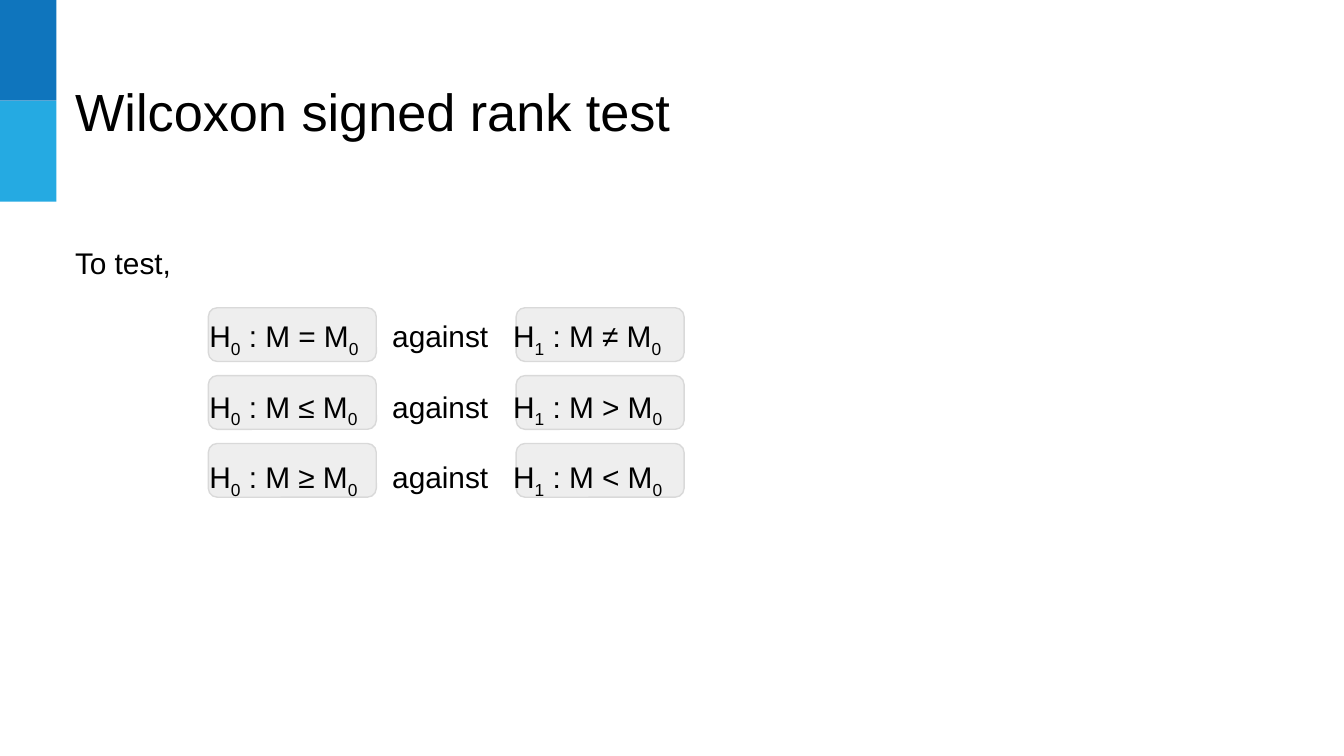
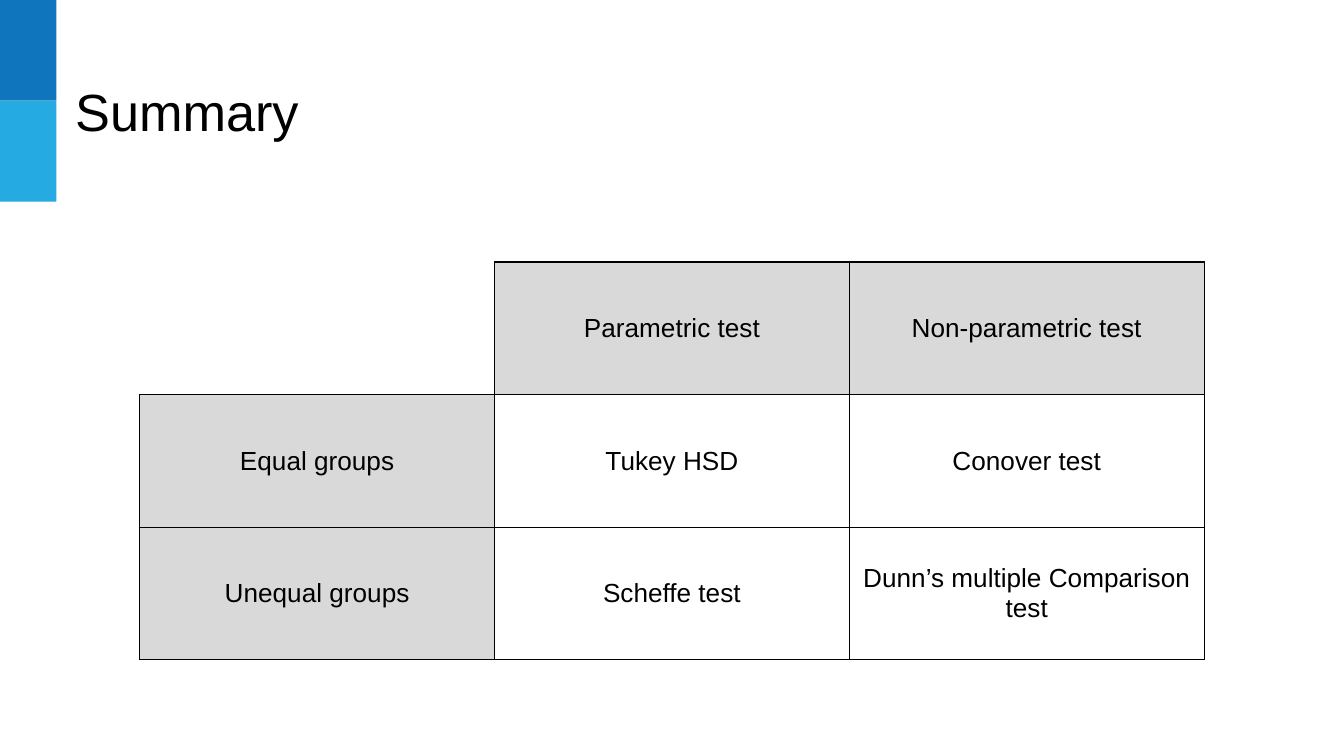
"""Build two slides on rank tests and group comparisons."""
from dataclasses import dataclass

from lxml.etree import SubElement
from pptx import Presentation
from pptx.dml.color import RGBColor as Rgb
from pptx.enum.shapes import MSO_SHAPE as Preset
from pptx.enum.text import MSO_ANCHOR as Anchor, MSO_AUTO_SIZE as AutoSize, PP_ALIGN as Align
from pptx.oxml.ns import qn
from pptx.util import Inches, Pt


@dataclass(frozen=True)
class Theme:
    font: str = "Arial"
    ink: str = "000000"
    bands: tuple = ("0F75BD", "25AAE2")
    box: str = "EEEEEE"
    edge: str = "D9D9D9"
    header: str = "D9D9D9"
    title_size: int = 28
    body_size: int = 16
    table_size: int = 14
    line: float = 0.75
    inset: float = 0.1


class Deck:
    def __init__(self, theme):
        self.theme = theme
        self.prs = Presentation()
        self.prs.slide_width = Inches(10)
        self.prs.slide_height = Inches(10) * 9 // 16
        self.slide = None
        inset = Inches(theme.inset)
        self.insets = {f"margin_{side}": inset for side in ("left", "right", "top", "bottom")}

    def apply(self, target, **formats):
        for name, value in formats.items():
            setattr(target, name, value)

    def style(self, font, size):
        self.apply(font, name=self.theme.font, size=Pt(size))
        font.color.rgb = Rgb.from_string(self.theme.ink)

    def frame(self, frame):
        self.apply(frame, word_wrap=True, auto_size=AutoSize.NONE,
                   vertical_anchor=Anchor.TOP, **self.insets)

    def new_slide(self, title):
        self.slide = self.prs.slides.add_slide(self.prs.slide_layouts[5])
        for row, colour in enumerate(self.theme.bands):
            self.box(Preset.RECTANGLE, (0, row * 0.75, 0.42, 0.75), colour)
        heading = self.slide.shapes.title
        self.apply(heading, left=Inches(0.46), top=Inches(0.49),
                   width=Inches(7.37), height=Inches(0.63))
        self.frame(heading.text_frame)
        heading.text_frame.text = title
        paragraph = heading.text_frame.paragraphs[0]
        paragraph.alignment = Align.LEFT
        self.style(paragraph.runs[0].font, self.theme.title_size)

    def box(self, preset, place, fill, edge=None):
        shape = self.slide.shapes.add_shape(preset, *map(Inches, place))
        shape.shadow.inherit = False
        shape.fill.solid()
        shape.fill.fore_color.rgb = Rgb.from_string(fill)
        if edge:
            shape.line.color.rgb = Rgb.from_string(edge)
            shape.line.width = Pt(self.theme.line)
        else:
            shape.line.fill.background()

    def body(self, place, paragraphs, tabs):
        frame = self.slide.shapes.add_textbox(*map(Inches, place)).text_frame
        self.frame(frame)
        for index, (space, parts) in enumerate(paragraphs):
            paragraph = frame.add_paragraph() if index else frame.paragraphs[0]
            if index:
                paragraph.space_before = Pt(space)
                stops = SubElement(paragraph._p.get_or_add_pPr(), qn("a:tabLst"))
                for stop in tabs:
                    SubElement(stops, qn("a:tab"), pos=str(Inches(stop)), algn="l")
            for text, is_subscript in parts:
                run = paragraph.add_run()
                run.text = text
                self.style(run.font, self.theme.body_size)
                if is_subscript:
                    run.font._element.set("baseline", "-25000")

    def border(self, cell, hidden_sides):
        properties = cell._tc.get_or_add_tcPr()
        for side in "LRTB":
            line = SubElement(properties, qn(f"a:ln{side}"), w=str(Pt(self.theme.line)))
            if side in hidden_sides:
                SubElement(line, qn("a:noFill"))
            else:
                fill = SubElement(line, qn("a:solidFill"))
                SubElement(fill, qn("a:srgbClr"), val=self.theme.ink)

    def table(self, place, rows):
        shape = self.slide.shapes.add_table(len(rows), len(rows[0]), *map(Inches, place))
        grid = shape.table
        self.apply(grid, first_row=False, horz_banding=False)
        for r, texts in enumerate(rows):
            for c, text in enumerate(texts):
                cell = grid.cell(r, c)
                self.border(cell, "" if r or c else "LT")
                if text and 0 in (r, c):
                    cell.fill.solid()
                    cell.fill.fore_color.rgb = Rgb.from_string(self.theme.header)
                else:
                    cell.fill.background()
                self.apply(cell, vertical_anchor=Anchor.MIDDLE, **self.insets)
                if text:
                    cell.text = text
                    paragraph = cell.text_frame.paragraphs[0]
                    paragraph.alignment = Align.CENTER
                    self.style(paragraph.runs[0].font, self.theme.table_size)


def hypotheses(null_sign, alternative_sign):
    return [("\tH", False), ("0", True), (f" : M {null_sign} M", False), ("0", True),
            ("\tagainst\tH", False), ("1", True),
            (f" : M {alternative_sign} M", False), ("0", True)]


def main():
    theme = Theme()
    deck = Deck(theme)

    deck.new_slide("Wilcoxon signed rank test")
    sign_pairs = [("=", "≠"), ("≤", ">"), ("≥", "<")]
    for row in range(len(sign_pairs)):
        for left in (1.55, 3.84):
            deck.box(Preset.ROUNDED_RECTANGLE, (left, 2.29 + row * 0.505, 1.25, 0.4),
                     theme.box, theme.edge)
    paragraphs = [(0, [("To test,", False)])]
    for space, signs in zip((20, 16, 16), sign_pairs):
        paragraphs.append((space, hypotheses(*signs)))
    deck.body((0.46, 1.72, 8.02, 3.22), paragraphs, tabs=(1, 2.36, 3.26))

    deck.new_slide("Summary")
    comparison_tests = [
        ("", "Parametric test", "Non-parametric test"),
        ("Equal groups", "Tukey HSD", "Conover test"),
        ("Unequal groups", "Scheffe test", "Dunn’s multiple Comparison test"),
    ]
    deck.table((1.04, 1.95, 7.92, 2.96), comparison_tests)

    deck.prs.save("out.pptx")


if __name__ == "__main__":
    main()
